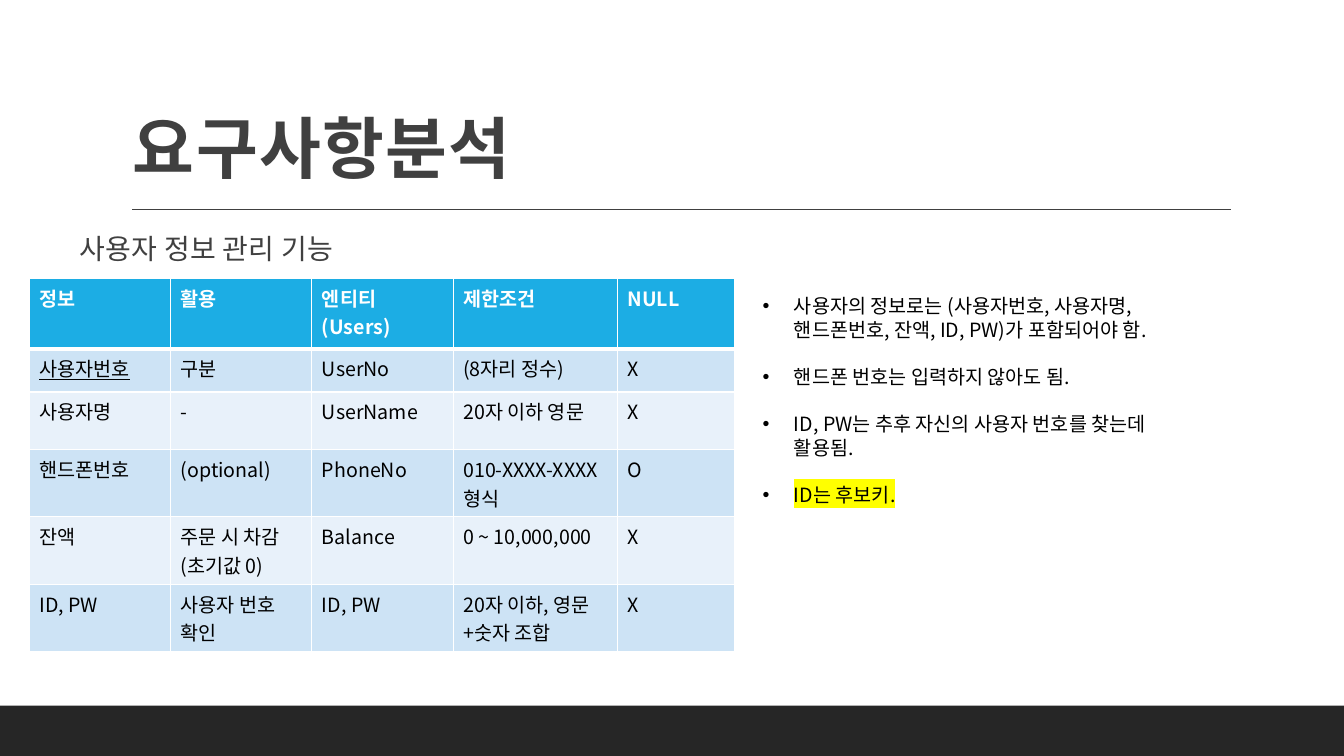
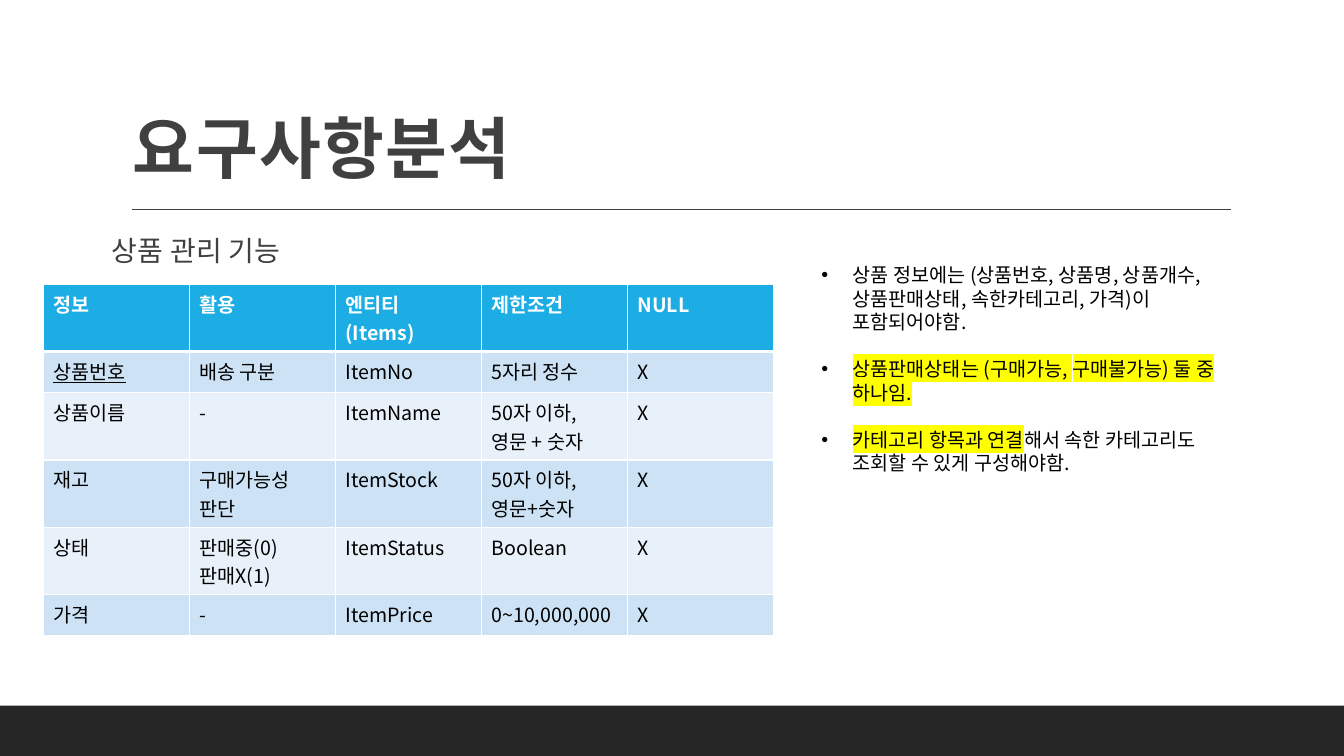
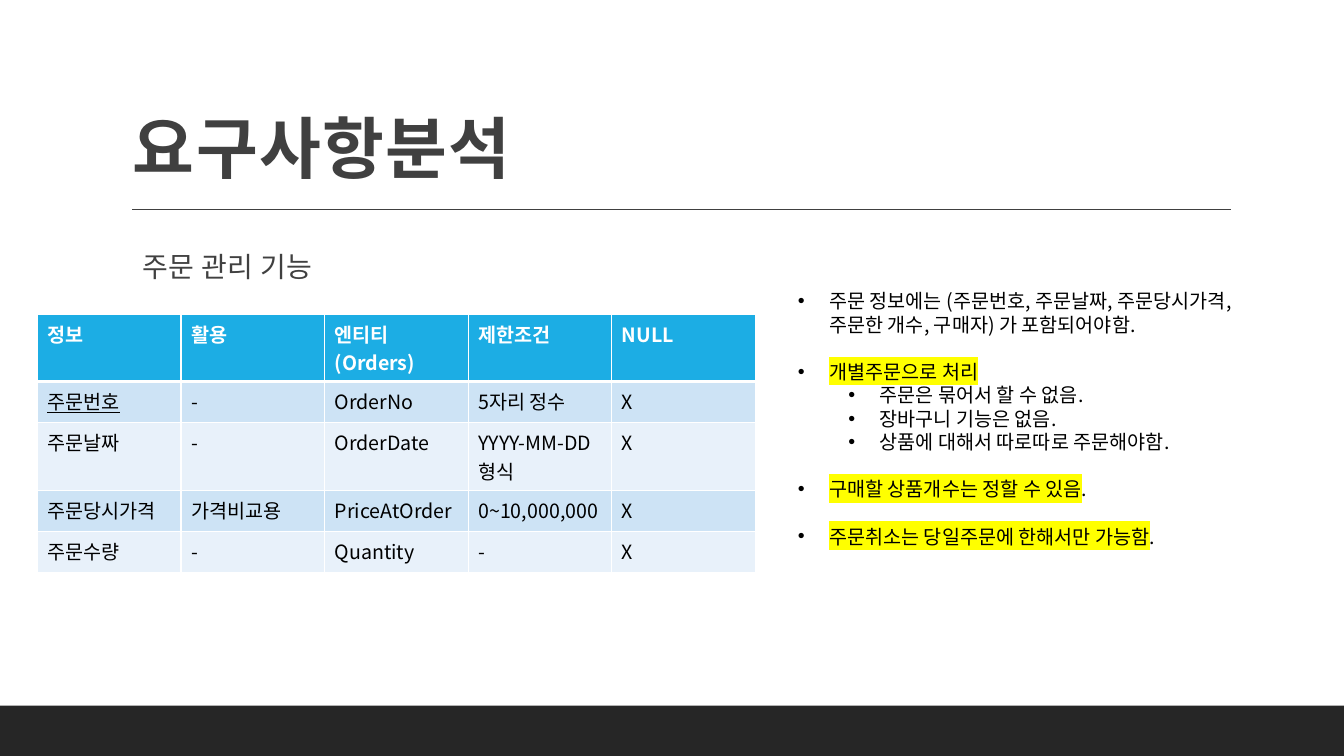
import pptx
import pptx.dml.color
import pptx.enum.shapes
import pptx.enum.text
import pptx.oxml
import pptx.oxml.ns
import pptx.util

Cm = pptx.util.Cm
Pt = pptx.util.Pt
RGBColor = pptx.dml.color.RGBColor
qn = pptx.oxml.ns.qn

FONT = "Noto Sans CJK KR"
WHITE = RGBColor(0xFF, 0xFF, 0xFF)
BLACK = RGBColor(0x00, 0x00, 0x00)
GRAY = RGBColor(0x40, 0x40, 0x40)
BAND = RGBColor(0x26, 0x26, 0x26)
HEADER = RGBColor(0x1C, 0xAD, 0xE4)
ROW_TINTS = [RGBColor(0xE8, 0xF1, 0xFA), RGBColor(0xCD, 0xE3, 0xF5)]
YELLOW = RGBColor(0xFF, 0xFF, 0x00)

TITLE = "요구사항분석"
NOTE_LINE = Pt(16.8)
NOTE_HANG = 0.79
LEVEL_STEP = 1.27


def add_text(paragraph, text, size=14, color=BLACK, bold=False,
             underline=False, highlight=None, spacing=None):
    """Append one formatted run; spacing is in hundredths of a point."""
    run = paragraph.add_run()
    run.text = text
    run.font.size = Pt(size)
    run.font.bold = bold
    run.font.underline = underline
    run.font.color.rgb = color
    run.font.name = FONT
    properties = run.font.fill._xPr
    if spacing is not None:
        properties.set("spc", str(spacing))
    if highlight is not None:
        mark = properties.makeelement(qn("a:highlight"), {})
        mark.append(mark.makeelement(qn("a:srgbClr"), {"val": str(highlight)}))
        properties.find(qn("a:solidFill")).addnext(mark)
    east_asian = properties.makeelement(qn("a:ea"), {"typeface": FONT})
    properties.find(qn("a:latin")).addnext(east_asian)


def set_bullet(paragraph, left, hang, char=None):
    """Set the indent in centimetres, and a bullet or none."""
    properties = paragraph._p.get_or_add_pPr()
    properties.set("marL", str(Cm(left)))
    properties.set("indent", str(-Cm(hang)))
    if char is None:
        properties.append(properties.makeelement(qn("a:buNone"), {}))
    else:
        properties.append(properties.makeelement(qn("a:buFont"), {"typeface": "Arial"}))
        properties.append(properties.makeelement(qn("a:buChar"), {"char": char}))


# Notes are (level, starts a group, highlighted part, plain part).
SECTIONS = [
    {
        "heading": "사용자 정보 관리 기능",
        "heading_at": (1.45, 5.41),
        "table_at": (0.74, 7.01),
        "widths": [3.56, 3.56, 3.56, 4.14, 2.95],
        "heights": [1.78, 1.09, 1.45, 1.52, 1.52, 1.52],
        "entity": "Users",
        "rows": [
            ["사용자번호", "구분", "UserNo", "(8자리 정수)", "X"],
            ["사용자명", "-", "UserName", "20자 이하 영문", "X"],
            ["핸드폰번호", "(optional)", "PhoneNo", "010-XXXX-XXXX 형식", "O"],
            ["잔액", "주문 시 차감\n(초기값 0)", "Balance", "0 ~ 10,000,000", "X"],
            ["ID, PW", "사용자 번호 확인", "ID, PW", "20자 이하, 영문+숫자 조합", "X"],
        ],
        "notes_at": (17.7, 7.29, 12.57, 5.64),
        "notes": [
            (1, True, "", "사용자의 정보로는 (사용자번호, 사용자명, 핸드폰번호, 잔액, ID, PW)가 포함되어야 함."),
            (1, True, "", "핸드폰 번호는 입력하지 않아도 됨."),
            (1, True, "", "ID, PW는 추후 자신의 사용자 번호를 찾는데 활용됨."),
            (1, True, "ID는 후보키.", ""),
        ],
    },
    {
        "heading": "상품 관리 기능",
        "heading_at": (2.26, 5.46),
        "table_at": (1.09, 7.16),
        "widths": [3.68] * 5,
        "heights": [1.04] * 6,
        "entity": "Items",
        "rows": [
            ["상품번호", "배송 구분", "ItemNo", "5자리 정수", "X"],
            ["상품이름", "-", "ItemName", "50자 이하, 영문 + 숫자", "X"],
            ["재고", "구매가능성 판단", "ItemStock", "50자 이하, 영문+숫자", "X"],
            ["상태", "판매중(0)\n판매X(1)", "ItemStatus", "Boolean", "X"],
            ["가격", "-", "ItemPrice", "0~10,000,000", "X"],
        ],
        "notes_at": (20.45, 6.5, 11.18, 5.64),
        "notes": [
            (0, True, "", "상품 정보에는 (상품번호, 상품명, 상품개수, 상품판매상태, 속한카테고리, 가격)이 포함되어야함."),
            (0, True, "상품판매상태는 (구매가능, 구매불가능) 둘 중 하나임.", ""),
            (0, True, "카테고리 항목과 연결", "해서 속한 카테고리도 조회할 수 있게 구성해야함."),
        ],
    },
    {
        "heading": "주문 관리 기능",
        "heading_at": (3.05, 5.87),
        "table_at": (0.94, 7.92),
        "widths": [3.62] * 5,
        "heights": [1.04] * 5,
        "entity": "Orders",
        "rows": [
            ["주문번호", "-", "OrderNo", "5자리 정수", "X"],
            ["주문날짜", "-", "OrderDate", "YYYY-MM-DD 형식", "X"],
            ["주문당시가격", "가격비교용", "PriceAtOrder", "0~10,000,000", "X"],
            ["주문수량", "-", "Quantity", "-", "X"],
        ],
        "notes_at": (19.86, 7.16, 12.52, 6.83),
        "notes": [
            (0, True, "", "주문 정보에는 (주문번호, 주문날짜, 주문당시가격, 주문한 개수, 구매자) 가 포함되어야함."),
            (0, True, "개별주문으로 처리", ""),
            (1, False, "", "주문은 묶어서 할 수 없음."),
            (1, False, "", "장바구니 기능은 없음."),
            (1, False, "", "상품에 대해서 따로따로 주문해야함."),
            (0, True, "구매할 상품개수는 정할 수 있음", "."),
            (0, True, "주문취소는 당일주문에 한해서만 가능함", "."),
        ],
    },
]

presentation = pptx.Presentation()
presentation.slide_width = Cm(33.87)
presentation.slide_height = Cm(19.05)

# Shared layout: title place, bottom band and rule under the title
layout = presentation.slide_layouts[1]
for placeholder in list(layout.placeholders):
    if placeholder.placeholder_format.idx >= 10:
        placeholder.element.getparent().remove(placeholder.element)
layout_title = layout.placeholders[0]
layout_title.left, layout_title.top = Cm(3.05), Cm(0.79)
layout_title.width, layout_title.height = Cm(27.94), Cm(4.04)

slides = [presentation.slides.add_slide(layout) for section in SECTIONS]

band = slides[0].shapes.add_shape(
    pptx.enum.shapes.MSO_SHAPE.RECTANGLE, 0, Cm(17.78), Cm(33.87), Cm(1.27))
band.shadow.inherit = False
band.fill.solid()
band.fill.fore_color.rgb = BAND
band.line.fill.background()
title_rule = slides[0].shapes.add_connector(
    pptx.enum.shapes.MSO_CONNECTOR.STRAIGHT, Cm(3.33), Cm(5.28), Cm(31.01), Cm(5.28))
title_rule.line.color.rgb = GRAY
title_rule.line.width = Pt(1)
rule_properties = title_rule.element.spPr
rule_properties.append(rule_properties.makeelement(qn("a:effectLst"), {}))
for position, shared in enumerate([band, title_rule], start=2):
    layout.shapes.element.insert(position, shared.element)

for slide, section in zip(slides, SECTIONS):
    # Title and section heading
    title = slide.shapes.title
    heading = slide.placeholders[1]
    heading.left, heading.top = (Cm(value) for value in section["heading_at"])
    heading.width, heading.height = Cm(13.06), Cm(10.44)
    for holder, anchor, bottom in [
        (title, pptx.enum.text.MSO_ANCHOR.BOTTOM, 0.13),
        (heading, pptx.enum.text.MSO_ANCHOR.TOP, 0.25),
    ]:
        frame = holder.text_frame
        frame.auto_size = pptx.enum.text.MSO_AUTO_SIZE.NONE
        frame.word_wrap = True
        frame.vertical_anchor = anchor
        frame.margin_left = frame.margin_right = frame.margin_top = Cm(0.3)
        frame.margin_bottom = Cm(bottom)
        frame.paragraphs[0].alignment = pptx.enum.text.PP_ALIGN.LEFT
        frame.paragraphs[0].space_before = Pt(0)
    title_line = title.text_frame.paragraphs[0]
    title_line.line_spacing = 1.05
    add_text(title_line, TITLE, size=48, color=GRAY, bold=True, spacing=100)
    heading_line = heading.text_frame.paragraphs[0]
    heading_line.line_spacing = 1.14
    set_bullet(heading_line, 0.25, 0)
    add_text(heading_line, section["heading"], size=20, color=GRAY, spacing=20)

    # Attribute table
    header = ["정보", "활용", f"엔티티 ({section['entity']})", "제한조건", "NULL"]
    rows = [header] + section["rows"]
    left, top = section["table_at"]
    attributes = slide.shapes.add_table(
        len(rows), len(header), Cm(left), Cm(top),
        Cm(sum(section["widths"])), Cm(sum(section["heights"]))).table
    attributes.horz_banding = False
    for column, width in zip(attributes.columns, section["widths"]):
        column.width = Cm(width)
    for row, height in zip(attributes.rows, section["heights"]):
        row.height = Cm(height)
    for r, values in enumerate(rows):
        for c, value in enumerate(values):
            cell = attributes.cell(r, c)
            cell_properties = cell._tc.get_or_add_tcPr()
            for side in ("L", "R", "T", "B"):
                below_header = (r, side) in [(0, "B"), (1, "T")]
                cell_properties.append(pptx.oxml.parse_xml(
                    f'<a:ln{side} xmlns:a="http://schemas.openxmlformats.org/drawingml/2006/main"'
                    f' w="{Pt(3 if below_header else 1)}"><a:solidFill>'
                    f'<a:srgbClr val="{WHITE}"/></a:solidFill></a:ln{side}>'))
            cell.fill.solid()
            cell.fill.fore_color.rgb = HEADER if r == 0 else ROW_TINTS[r % 2]
            for i, line in enumerate(value.split("\n")):
                frame = cell.text_frame
                paragraph = frame.add_paragraph() if i else frame.paragraphs[0]
                add_text(paragraph, line, color=BLACK if r else WHITE,
                         bold=r == 0, underline=(r, c) == (1, 0))

    # Bulleted requirements
    notes = slide.shapes.add_textbox(*(Cm(value) for value in section["notes_at"])).text_frame
    notes.word_wrap = True
    for i, (level, starts_group, marked, plain) in enumerate(section["notes"]):
        paragraph = notes.add_paragraph() if i else notes.paragraphs[0]
        paragraph.level = level
        paragraph.line_spacing = NOTE_LINE
        if i and (starts_group):
            paragraph.space_before = NOTE_LINE
        set_bullet(paragraph, NOTE_HANG + level * LEVEL_STEP, NOTE_HANG, "•")
        if marked:
            add_text(paragraph, marked, highlight=YELLOW)
        if plain:
            add_text(paragraph, plain)

presentation.save("out.pptx")
